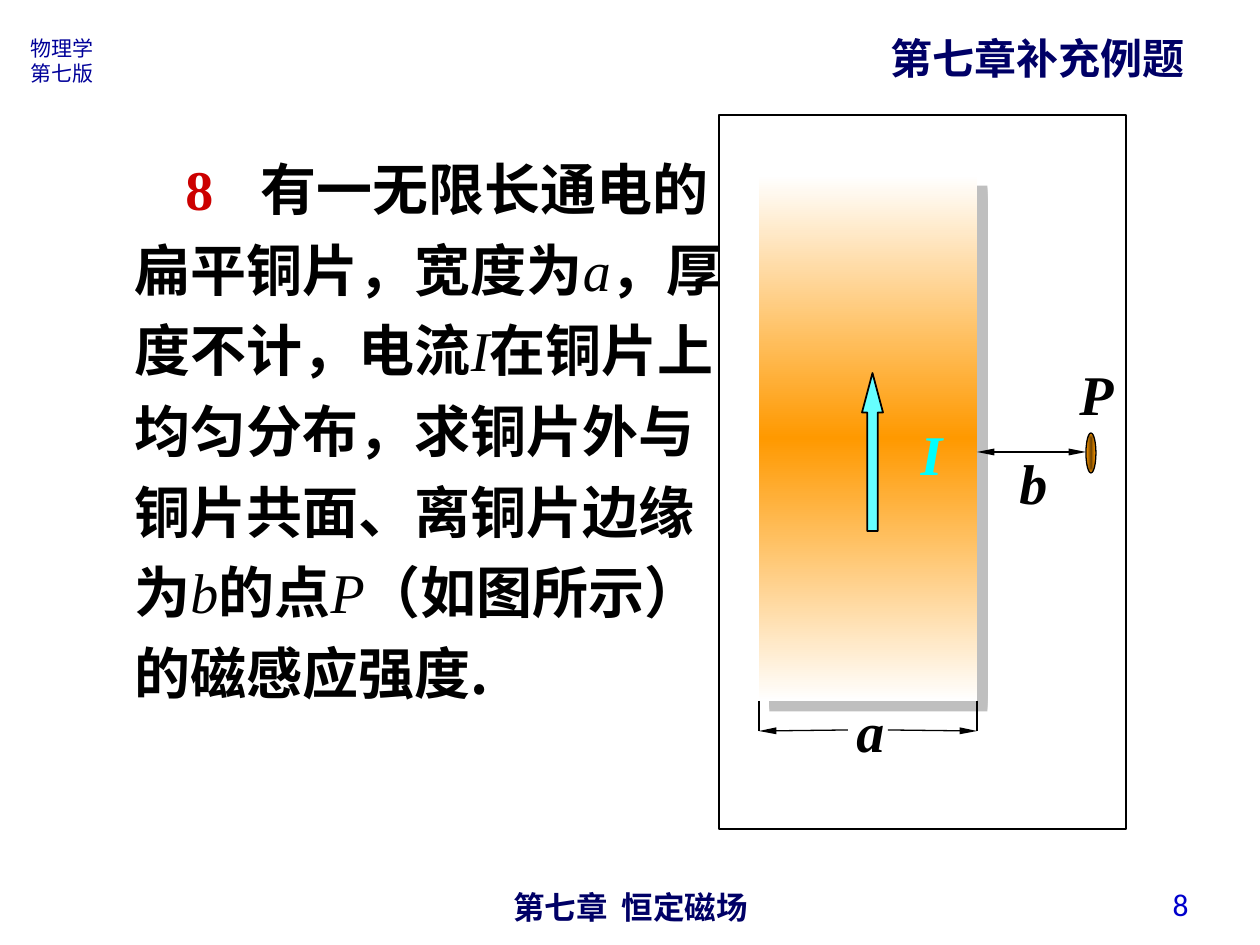
import pptx
import pptx.util
import pptx.dml.color
import pptx.enum.shapes
import pptx.enum.text
import pptx.oxml
import pptx.oxml.ns

RGB = pptx.dml.color.RGBColor
SHAPE = pptx.enum.shapes.MSO_SHAPE
ALIGN = pptx.enum.text.PP_ALIGN
ANCHOR = pptx.enum.text.MSO_ANCHOR
FIT = pptx.enum.text.MSO_AUTO_SIZE
qn = pptx.oxml.ns.qn
NS = pptx.oxml.ns.nsdecls("a")

NAVY = RGB(0x00, 0x00, 0x66)
BLUE = RGB(0x00, 0x00, 0x99)
NUMBER_BLUE = RGB(0x00, 0x00, 0xCC)
RED = RGB(0xCC, 0x00, 0x00)
BLACK = RGB(0x00, 0x00, 0x00)
CYAN = RGB(0x00, 0xFF, 0xFF)
ARROW_CYAN = RGB(0x66, 0xFF, 0xFF)
WHITE = RGB(0xFF, 0xFF, 0xFF)
ORANGE = RGB(0xFF, 0x99, 0x00)
BROWN = RGB(0x76, 0x47, 0x00)
GREY = RGB(0x80, 0x80, 0x80)

HAN = "Noto Sans CJK SC"
SERIF = "Times New Roman"
PX = 914400 / 126

# Content: lines, place, size, font, colour, bold, alignment, anchor, wrap
FRAME_TEXTS = [
    (["第七章  恒定磁场"], (431, 882, 399, 37), 18, "Arial", NAVY, True,
     ALIGN.CENTER, ANCHOR.TOP, True),
    (["第七章补充例题"], (878, 26, 319, 63), 24, HAN, NAVY, True,
     ALIGN.LEFT, ANCHOR.TOP, False),
    (["物理学", "第七版"], (18, 29, 91, 63), 12, HAN, BLUE, False,
     ALIGN.LEFT, ANCHOR.TOP, True),
    (["8"], (907, 879, 294, 50), 18, "Calibri", NUMBER_BLUE, False,
     ALIGN.RIGHT, ANCHOR.MIDDLE, True),
]

# Statement pieces alternate between prose and symbols
PROBLEM_PLACE = (122, 135, 626, 577)
PROBLEM_NUMBER = "8\t"
PROBLEM = ["有一无限长通电的扁平铜片，宽度为", "a", "，厚度不计，电流", "I",
           "在铜片上均匀分布，求铜片外与铜片共面、离铜片边缘为", "b", "的点", "P",
           "（如图所示）的磁感应强度."]
NUMBER_INDENT, PROSE_TAB = 51, 122

LABELS = [
    ("P", (1067, 353, 59, 81), BLACK),
    ("a", (844, 690, 53, 81), BLACK),
    ("I", (908, 413, 47, 81), CYAN),
    ("b", (1007, 442, 53, 81), BLACK),
]

BORDER = (719, 115, 407, 714)
STRIP = (759, 175, 218, 526)
POINT = (1086, 433, 10, 40)
CURRENT = (862, 373, 21, 158)
STRIP_LEFT, STRIP_RIGHT = STRIP[0], STRIP[0] + STRIP[2]
STRIP_BOTTOM, WIDTH_Y, GAP_Y = STRIP[1] + STRIP[3], 731, 452

# Start, end, ends that carry an arrowhead
LINES = [
    ((STRIP_LEFT, STRIP_BOTTOM), (STRIP_LEFT, WIDTH_Y), []),
    ((STRIP_RIGHT, STRIP_BOTTOM), (STRIP_RIGHT, WIDTH_Y), []),
    ((888, WIDTH_Y - 1), (STRIP_RIGHT, WIDTH_Y), ["tailEnd"]),
    ((848, WIDTH_Y - 1), (STRIP_LEFT, WIDTH_Y), ["tailEnd"]),
    ((STRIP_RIGHT, GAP_Y), (POINT[0], GAP_Y), ["headEnd", "tailEnd"]),
]


def emu(lengths):
    return [pptx.util.Emu(round(length * PX)) for length in lengths]


def set_font(font, size=None, name=None, color=None, bold=None, italic=None):
    if size:
        font.size = pptx.util.Pt(size)
    font.name, font.bold, font.italic = name, bold, italic
    if color is not None:
        font.color.rgb = color


def add_east_asian(properties):
    properties.append(pptx.oxml.parse_xml(f'<a:ea {NS} typeface="{HAN}"/>'))


def add_text(page, lines, place, size, name, color, bold, align, anchor, wrap,
             italic=None):
    frame = page.shapes.add_textbox(*emu(place)).text_frame
    frame.word_wrap = wrap
    frame.auto_size = FIT.NONE if wrap else FIT.SHAPE_TO_FIT_TEXT
    frame.vertical_anchor = anchor
    frame.text = "\n".join(lines)
    for para in frame.paragraphs:
        para.alignment = align
        set_font(para.font, size, name, color, bold, italic)
        add_east_asian(para._p.pPr.find(qn("a:defRPr")))


def add_problem(page):
    frame = page.shapes.add_textbox(*emu(PROBLEM_PLACE)).text_frame
    frame.word_wrap = True
    frame.vertical_anchor = ANCHOR.MIDDLE
    para = frame.paragraphs[0]
    para.line_spacing = 1.2
    properties = para._p.get_or_add_pPr()
    indent, tab = emu((NUMBER_INDENT, PROSE_TAB))
    properties.set("marL", "0")
    properties.set("indent", str(indent))
    properties.append(pptx.oxml.parse_xml(
        f'<a:tabLst {NS}><a:tab pos="{tab}" algn="l"/></a:tabLst>'))
    pieces = [(PROBLEM_NUMBER, SERIF, RED, True, False)]
    for index, words in enumerate(PROBLEM):
        symbol = index % 2 == 1
        pieces.append((words, SERIF if symbol else HAN, BLACK, not symbol, symbol))
    for words, name, color, bold, italic in pieces:
        span = para.add_run()
        span.text = words
        set_font(span.font, 32, name, color, bold, italic)
        add_east_asian(span._r.rPr)


def add_shape(page, kind, place, fill=None, line_width=None):
    shape = page.shapes.add_shape(kind, *emu(place))
    shape.shadow.inherit = False
    if fill is None:
        shape.fill.background()
    else:
        shape.fill.solid()
        shape.fill.fore_color.rgb = fill
    if line_width is None:
        shape.line.fill.background()
    else:
        shape.line.color.rgb = BLACK
        shape.line.width = pptx.util.Pt(line_width)
    return shape


def set_gradient(shape, stops, direction):
    marks = "".join(f'<a:gs pos="{percent * 1000}"><a:srgbClr val="{color}"/></a:gs>'
                    for percent, color in stops)
    properties = shape._element.spPr
    solid = properties.find(qn("a:solidFill"))
    properties.replace(solid, pptx.oxml.parse_xml(
        f'<a:gradFill {NS} rotWithShape="1"><a:gsLst>{marks}</a:gsLst>'
        f'{direction}</a:gradFill>'))


def add_shadow(shape):
    effects = shape._element.spPr.find(qn("a:effectLst"))
    effects.append(pptx.oxml.parse_xml(
        f'<a:outerShdw {NS} dist="{pptx.util.Pt(8.5)}" dir="2700000" algn="ctr" '
        f'rotWithShape="0"><a:srgbClr val="{GREY}"><a:alpha val="50000"/>'
        f'</a:srgbClr></a:outerShdw>'))


def add_line(page, start, end, arrow_ends):
    line = page.shapes.add_connector(pptx.enum.shapes.MSO_CONNECTOR.STRAIGHT,
                                     *emu(start + end))
    line.line.color.rgb = BLACK
    line.line.width = pptx.util.Pt(0.75)
    properties = line._element.spPr
    for arrow_end in arrow_ends:
        properties.find(qn("a:ln")).append(pptx.oxml.parse_xml(
            f'<a:{arrow_end} {NS} type="triangle" w="sm" len="lg"/>'))
    properties.append(pptx.oxml.parse_xml(f'<a:effectLst {NS}/>'))


def main():
    deck = pptx.Presentation()
    deck.slide_width, deck.slide_height = emu((1260, 945))
    page = deck.slides.add_slide(deck.slide_layouts[6])

    # Header, footer and problem statement
    for entry in FRAME_TEXTS:
        add_text(page, *entry)
    add_problem(page)

    # Copper strip with its shadow
    strip = add_shape(page, SHAPE.RECTANGLE, STRIP, ORANGE)
    set_gradient(strip, [(0, WHITE), (50, ORANGE), (100, WHITE)],
                 '<a:lin ang="5400000" scaled="1"/>')
    add_shadow(strip)

    # Dimension lines
    for start, end, arrow_ends in LINES:
        add_line(page, start, end, arrow_ends)

    # Field point, diagram border and current arrow
    point = add_shape(page, SHAPE.OVAL, POINT, ORANGE, 0.75)
    set_gradient(point, [(0, BROWN), (100, ORANGE)],
                 '<a:path path="rect"><a:fillToRect l="50000" t="50000" '
                 'r="50000" b="50000"/></a:path>')
    add_shape(page, SHAPE.RECTANGLE, BORDER, None, 0.75)
    current = add_shape(page, SHAPE.UP_ARROW, CURRENT, ARROW_CYAN, 1)
    current.adjustments[0] = 0.5
    current.adjustments[1] = 1.88

    # Diagram labels
    for letter, place, color in LABELS:
        add_text(page, [letter], place, 32, SERIF, color, True,
                 ALIGN.CENTER, ANCHOR.MIDDLE, False, italic=True)

    deck.save("out.pptx")


if __name__ == "__main__":
    main()
